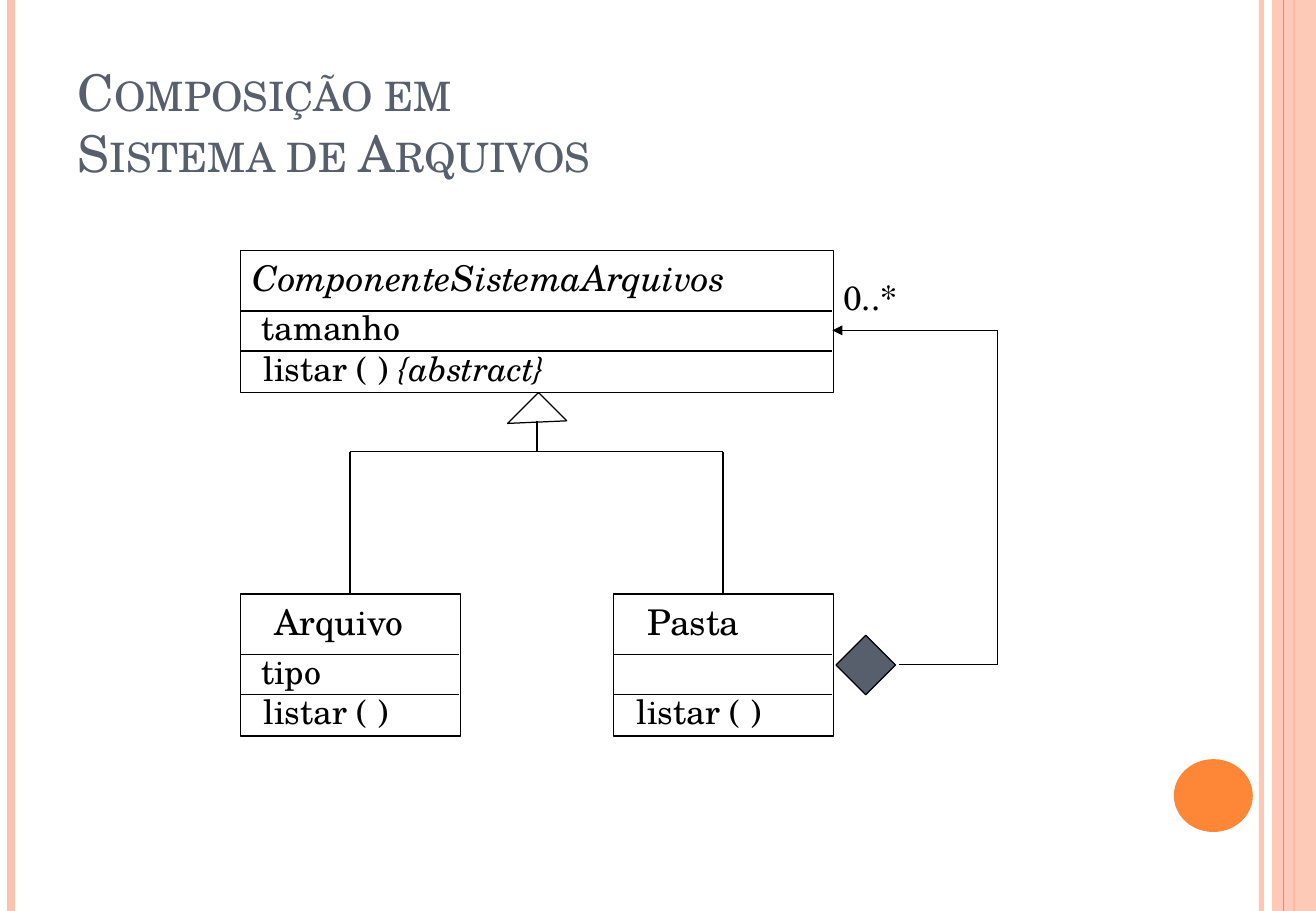
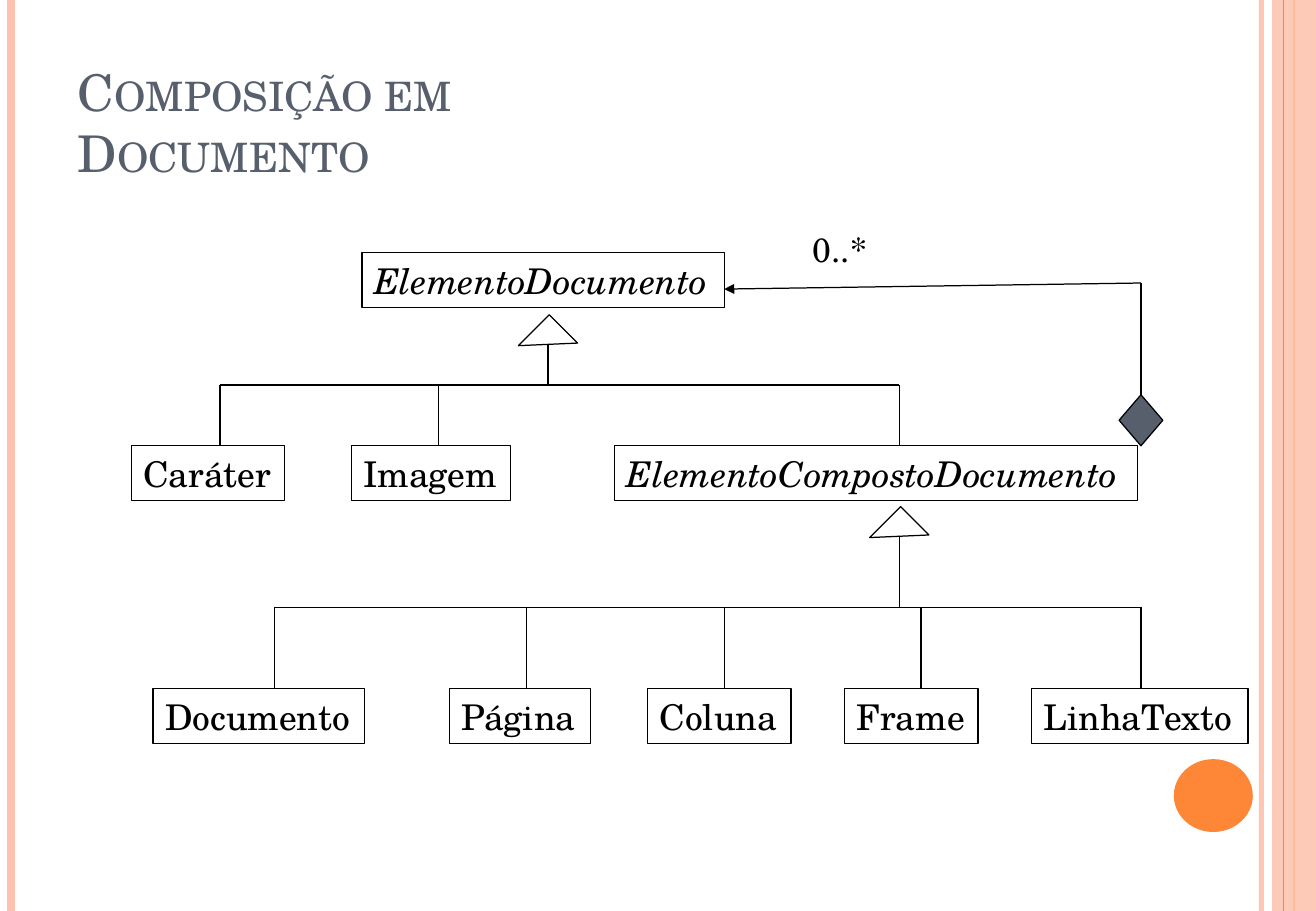
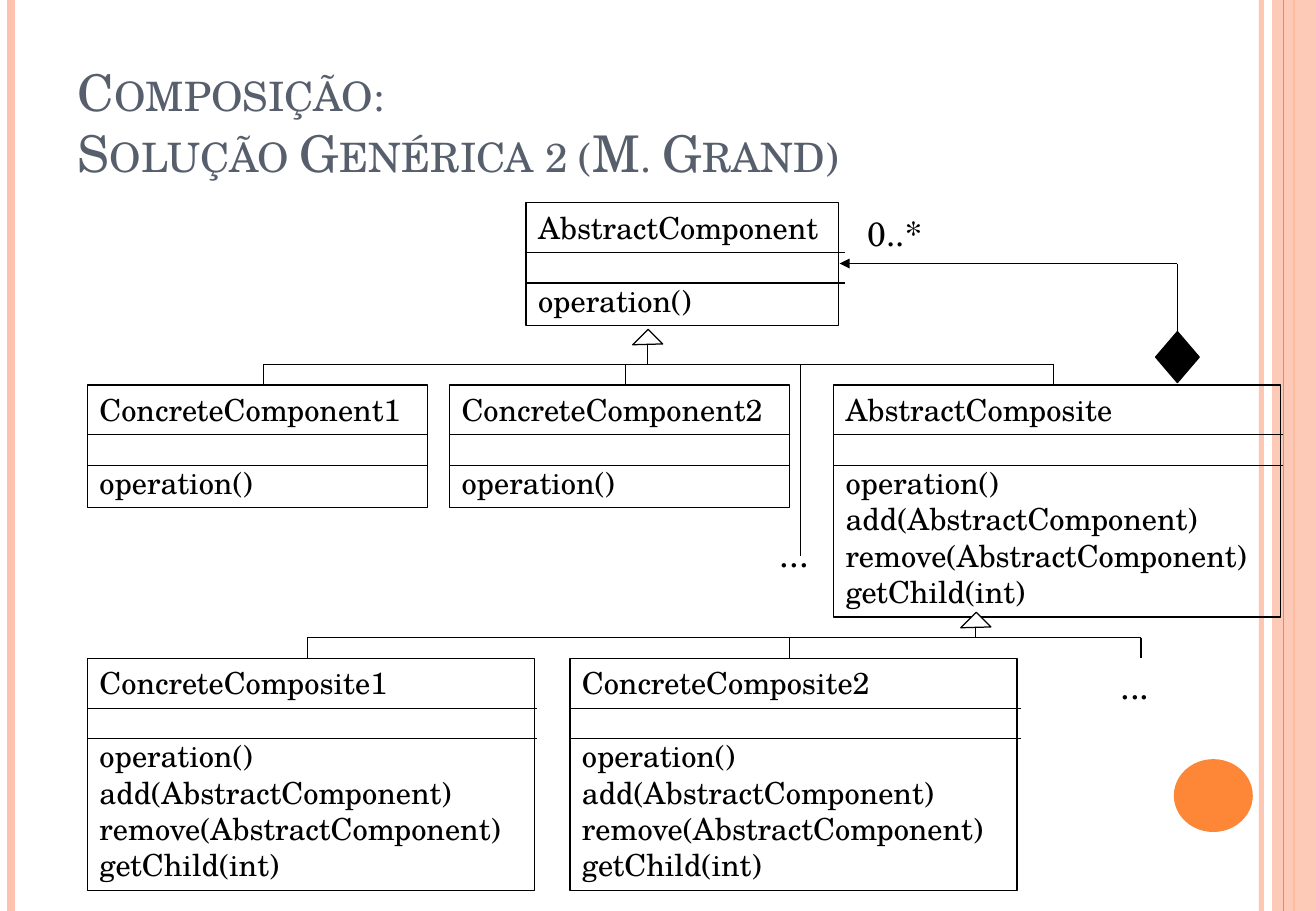
import pptx
import pptx.util
import pptx.dml.color
import pptx.enum.shapes
import pptx.enum.text
import pptx.oxml
import pptx.oxml.ns
from lxml import etree

Pt = pptx.util.Pt
RGB = pptx.dml.color.RGBColor
SHAPE = pptx.enum.shapes.MSO_SHAPE
STRAIGHT = pptx.enum.shapes.MSO_CONNECTOR.STRAIGHT
qn = pptx.oxml.ns.qn

PX = 9144  # 100 px to the inch
WIDE, HIGH = 1083, 750
FONT = "TeX Gyre Schola"
BLACK = RGB(0x00, 0x00, 0x00)
SLATE = RGB(0x57, 0x5F, 0x6D)
PEACH = RGB(0xFE, 0xC3, 0xAE)
ORANGE = RGB(0xFE, 0x86, 0x37)
TITLE_BOX = (54, 30, 885, 125)
TITLE_STYLE = (
    '<a:lvl1pPr %s algn="l"><a:defRPr sz="3000" cap="small">'
    '<a:solidFill><a:srgbClr val="%s"/></a:solidFill><a:latin typeface="%s"/>'
    "</a:defRPr></a:lvl1pPr>" % (pptx.oxml.ns.nsdecls("a"), SLATE, FONT)
)

ONE_OP = ("operation()",)
FOUR_OPS = ONE_OP + ("add(AbstractComponent)", "remove(AbstractComponent)", "getChild(int)")

# box: left, top, width, height, lines, size, italic
# rule: left, right, top of the class, offsets of the two lines
# label: left, top, width, plain text, italic text, size
# tree: triangle left, top, width, height; bar height; drops as (x, bottom)
# gem: left, top, width, height, colour
FILES = {
    "title": ("Composição em", "Sistema de Arquivos"),
    "boxes": [(x, y, w, 117, (), 21, False)
              for x, y, w in [(198, 206, 488), (198, 489, 181), (505, 489, 181)]],
    "rules": [(198, 685, 206, (50, 83)), (198, 378, 489, (50, 83)), (505, 685, 489, (50, 83))],
    "labels": [
        (198, 206, 417, "", "ComponenteSistemaArquivos", 21),
        (205, 248, 139, "tamanho", "", 20),
        (207, 281, 300, "listar ( ) ", "{abstract}", 20),
        (216, 489, 129, "Arquivo", "", 21),
        (205, 531, 72, "tipo", "", 20),
        (207, 564, 128, "listar ( )", "", 20),
        (523, 489, 98, "Pasta", "", 21),
        (514, 564, 128, "listar ( )", "", 20),
        (684, 223, 65, "0..*", "", 20),
    ],
    "trees": [((424, 331, 36, 33), 372, [(288, 489), (595, 489)])],
    "gem": (688, 523, 49, 49, SLATE),
    "route": [(740, 547), (821, 547), (821, 272), (685, 272)],
}
PAPER = {
    "title": ("Composição em", "Documento"),
    "boxes": [(x, y, w, 45, (text,), 21, text.startswith("Elemento")) for x, y, w, text in [
        (298, 208, 298, "ElementoDocumento"),
        (108, 367, 126, "Caráter"),
        (289, 367, 131, "Imagem"),
        (506, 367, 430, "ElementoCompostoDocumento"),
        (126, 567, 174, "Documento"),
        (370, 567, 116, "Página"),
        (533, 567, 118, "Coluna"),
        (695, 567, 110, "Frame"),
        (849, 567, 178, "LinhaTexto"),
    ]],
    "rules": [],
    "labels": [(659, 183, 65, "0..*", "", 20)],
    "trees": [
        ((433, 267, 36, 33), 317, [(x, 367) for x in (181, 361, 740)]),
        ((722, 425, 36, 33), 500, [(x, 567) for x in (226, 433, 596, 758, 939)]),
    ],
    "gem": (921, 325, 36, 42, SLATE),
    "route": [(939, 325), (939, 233), (596, 238)],
}
GENERIC = {
    "title": ("Composição:", "Solução Genérica 2 (M. Grand)"),
    "boxes": [(x, y, w, h, (name,) + ops, 18, False) for x, y, w, h, name, ops in [
        (433, 167, 257, 101, "AbstractComponent", ONE_OP),
        (72, 317, 280, 101, "ConcreteComponent1", ONE_OP),
        (370, 317, 280, 101, "ConcreteComponent2", ONE_OP),
        (686, 317, 368, 191, "AbstractComposite", FOUR_OPS),
        (72, 542, 368, 191, "ConcreteComposite1", FOUR_OPS),
        (469, 542, 368, 191, "ConcreteComposite2", FOUR_OPS),
    ]],
    "rules": [(x, end, y, (41, 66)) for x, end, y in [
        (433, 695, 167), (72, 352, 317), (370, 650, 317),
        (686, 1056, 317), (72, 442, 542), (469, 840, 542)]],
    "labels": [
        (632, 433, 55, "...", "", 21),
        (912, 542, 45, "...", "", 21),
        (704, 170, 65, "0..*", "", 20),
    ],
    "trees": [
        ((524, 275, 18, 17), 300, [(217, 317), (515, 317), (659, 458), (867, 317)]),
        ((794, 508, 18, 17), 525, [(x, 542) for x in (253, 650, 939)]),
    ],
    "gem": (951, 273, 36, 42, BLACK),
    "route": [(969, 273), (969, 217), (691, 217)],
}
DECK = [FILES, PAPER, GENERIC]


def emu(*nums):
    return [round(n * PX) for n in nums]


def fade(item, share):
    """Make the first colour in an element partly transparent."""
    tint = item.element.find(".//" + qn("a:srgbClr"))
    etree.SubElement(tint, qn("a:alpha"), val=str(share * 1000))


def line(slide, start, end, color=BLACK, width=0.75, arrow=False):
    link = slide.shapes.add_connector(STRAIGHT, *emu(*start, *end))
    link.line.color.rgb = color
    link.line.width = Pt(width)
    if arrow:
        etree.SubElement(link.line._get_or_add_ln(), qn("a:tailEnd"), type="triangle")
    etree.SubElement(link.element.spPr, qn("a:effectLst"))
    return link


def shape(slide, kind, box, fill=None, edge=BLACK):
    item = slide.shapes.add_shape(kind, *emu(*box))
    item.shadow.inherit = False
    if fill is None:
        item.fill.background()
    else:
        item.fill.solid()
        item.fill.fore_color.rgb = fill
    if edge is None:
        item.line.fill.background()
    else:
        item.line.color.rgb = edge
        item.line.width = Pt(0.75)
    return item


def style(run, size, italic):
    run.font.name = FONT
    run.font.size = Pt(size)
    run.font.italic = italic
    run.font.color.rgb = BLACK


def write(item, lines, size, italic=False):
    frame = item.text_frame
    frame.word_wrap = True
    frame.margin_right = 0
    frame.vertical_anchor = pptx.enum.text.MSO_ANCHOR.TOP
    frame.text = "\n".join(lines)
    for row, par in enumerate(frame.paragraphs):
        par.alignment = pptx.enum.text.PP_ALIGN.LEFT
        if row == 1:
            par.space_before = Pt(size * 1.2)
        for run in par.runs:
            style(run, size, italic)


def label(slide, x, y, w, plain, slant, size):
    item = slide.shapes.add_textbox(*emu(x, y, w, 45))
    write(item, [plain or slant], size, not plain)
    if plain and slant:
        run = item.text_frame.paragraphs[0].add_run()
        run.text = slant
        style(run, size, True)


def tree(slide, tip, bar, drops):
    """Draw an inheritance triangle with its stem, bar and branches."""
    x, y, w, h = tip
    mid = x + w // 2
    shape(slide, SHAPE.RIGHT_TRIANGLE, tip, RGB(0xFF, 0xFF, 0xFF)).rotation = 135
    line(slide, (mid, y + h // 2), (mid, bar))
    ends = [drop[0] for drop in drops]
    line(slide, (min(ends), bar), (max(ends), bar))
    for end, low in drops:
        line(slide, (end, bar), (end, low))


def trim(slide, layout):
    """Draw the side bands and disc, then move them to the layout."""
    def band(x, color, width):
        return line(slide, (x, 0), (x, HIGH), color, width)

    edge = band(1038, PEACH, 3)
    fade(edge, 93)
    parts = [edge, band(9, PEACH, 4.5), band(1065, ORANGE, 1.5)]
    side = shape(slide, SHAPE.RECTANGLE, (1047, 0, 36, HIGH), PEACH, None)
    fade(side, 87)
    parts += [side, band(1056, ORANGE, 0.75)]
    parts.append(shape(slide, SHAPE.OVAL, (966, 625, 65, 60), ORANGE, None))
    for num, part in enumerate(parts, 100):
        part.element.find(".//" + qn("p:cNvPr")).set("id", str(num))
        layout.shapes.element.append(part.element)


def set_title(layout):
    head = layout.placeholders[0]
    head.left, head.top, head.width, head.height = emu(*TITLE_BOX)
    head.text_frame.vertical_anchor = pptx.enum.text.MSO_ANCHOR.BOTTOM
    head.text_frame.auto_size = pptx.enum.text.MSO_AUTO_SIZE.NONE
    head.element.find(".//" + qn("a:lstStyle")).append(pptx.oxml.parse_xml(TITLE_STYLE))


def draw(slide, data):
    slide.shapes.title.text_frame.text = "\v".join(data["title"])
    for x, y, w, h, lines, size, italic in data["boxes"]:
        item = shape(slide, SHAPE.RECTANGLE, (x, y, w, h))
        if lines:
            write(item, lines, size, italic)
    for x, end, top, steps in data["rules"]:
        for step in steps:
            line(slide, (x, top + step), (end, top + step))
    for args in data["labels"]:
        label(slide, *args)
    for args in data["trees"]:
        tree(slide, *args)
    *box, fill = data["gem"]
    shape(slide, SHAPE.DIAMOND, box, fill)
    route = data["route"]
    for start, end in zip(route, route[1:]):
        line(slide, start, end, arrow=end == route[-1])


def main():
    prs = pptx.Presentation()
    prs.slide_width, prs.slide_height = emu(WIDE, HIGH)
    layout = prs.slide_layouts[5]
    set_title(layout)
    slides = [prs.slides.add_slide(layout) for _ in DECK]
    trim(slides[0], layout)
    for slide, data in zip(slides, DECK):
        draw(slide, data)
    prs.save("out.pptx")


if __name__ == "__main__":
    main()
